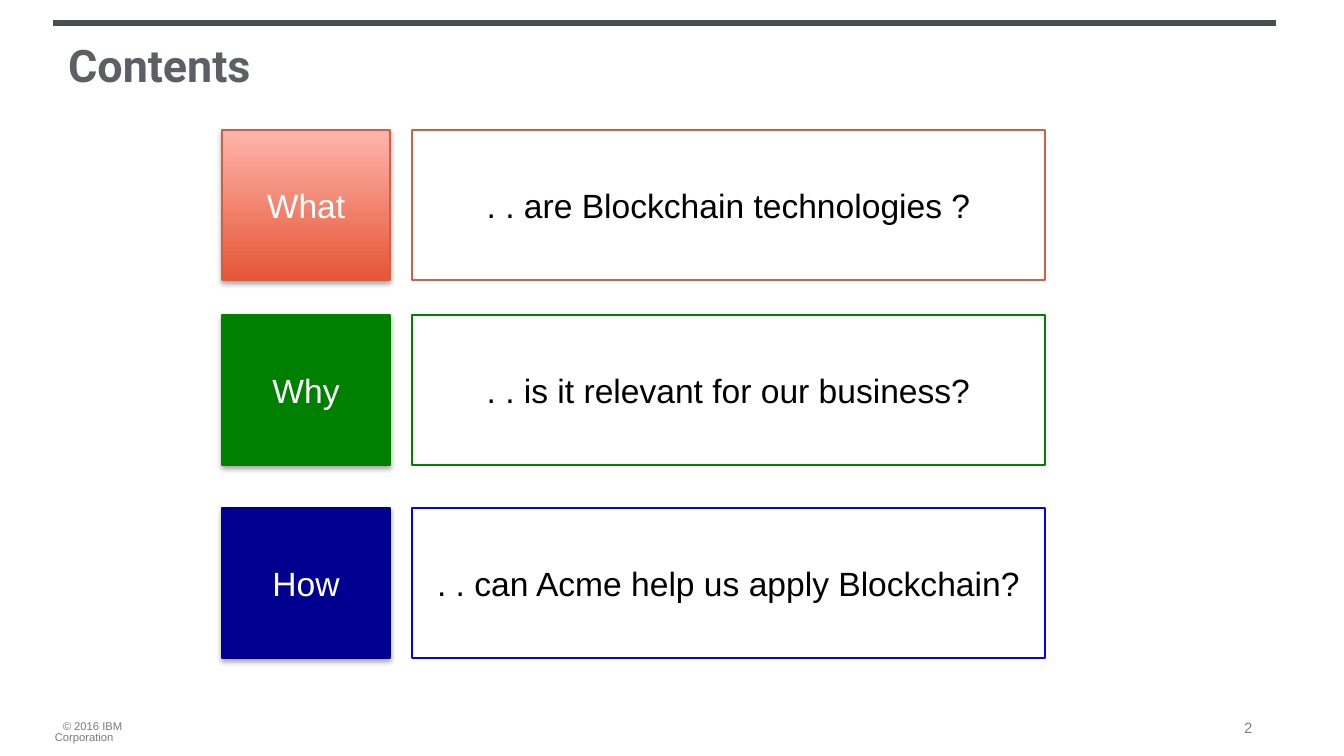
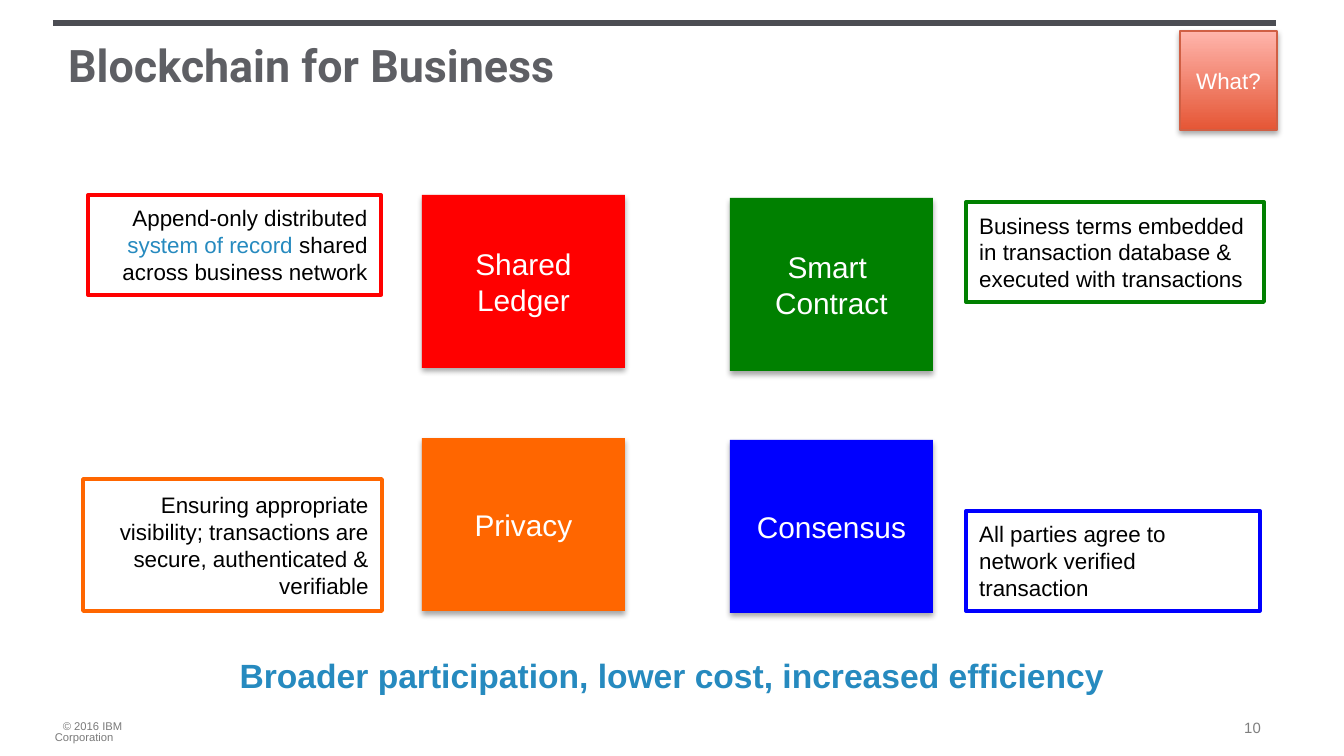
import lxml.etree
import pptx
import pptx.dml.color
import pptx.enum.shapes
import pptx.enum.text
import pptx.oxml.ns
import pptx.util

COLOURS = {
    "bar": "4C4D53", "title": "5E5F64", "copyright": "7A7A7A", "number": "7F7F7F",
    "black": "000000", "white": "FFFFFF", "accent": "268ABF",
    "coral_dark": "E55635", "coral_light": "FFB5AC", "coral_line": "D05F44",
    "green": "008000", "navy": "000090", "blue": "0000FF",
    "red": "FF0000", "orange": "FF6600",
}
CORAL = ("coral_dark", "coral_light")  # gradient, bottom to top
EMU_PER_PX = 914400 / 134.4
ALIGN = pptx.enum.text.PP_ALIGN
ANCHOR = pptx.enum.text.MSO_ANCHOR

COPYRIGHT = "© 2016 IBM Corporation"

# question, fill, line, description, description line, top
CONTENTS = [
    ("What", CORAL, "coral_line", ". . are Blockchain technologies ?", "coral_line", 130),
    ("Why", "green", "green", ". . is it relevant for our business?", "green", 315),
    ("How", "navy", "navy", ". . can Acme help us apply Blockchain?", "blue", 508),
]

# label lines, colour, tile place, note spans, note place, note alignment
PILLARS = [
    (["Shared Ledger"], "red", (422, 195),
     [("Append-only distributed ", "black"), ("system of record", "accent"),
      (" shared across business network", "black")],
     (88, 195, 293, 100), ALIGN.RIGHT),
    (["Smart ", "Contract"], "green", (730, 198),
     [("Business terms embedded in transaction database & executed with transactions", "black")],
     (966, 202, 298, 100), ALIGN.LEFT),
    (["Privacy"], "orange", (422, 438),
     [("Ensuring appropriate visibility; transactions are secure, "
       "authenticated & verifiable", "black")],
     (83, 479, 299, 132), ALIGN.RIGHT),
    (["Consensus"], "blue", (730, 440),
     [("All parties agree to network verified transaction", "black")],
     (966, 511, 294, 100), ALIGN.LEFT),
]
TAGLINE = "Broader participation, lower cost, increased efficiency"


def px(length):
    return pptx.util.Emu(round(length * EMU_PER_PX))


def rgb(name):
    return pptx.dml.color.RGBColor.from_string(COLOURS[name])


def assign(target, values):
    for name, value in values.items():
        setattr(target, name, value)


def write(box, paragraphs, size, align=ALIGN.LEFT, font="Arial", bold=False, **frame_format):
    """Fill a box; each paragraph is a list of (text, colour) spans."""
    frame = box.text_frame
    assign(frame, {"word_wrap": True, "vertical_anchor": ANCHOR.TOP, **frame_format})
    for index, spans in enumerate(paragraphs):
        para = frame.add_paragraph() if index else frame.paragraphs[0]
        para.alignment = align
        for text, colour in spans:
            span = para.add_run()
            span.text = text
            assign(span.font, {"name": font, "size": pptx.util.Pt(size), "bold": bold})
            span.font.color.rgb = rgb(colour)


def add_text(page, place, text, colour, size, **text_format):
    box = page.shapes.add_textbox(*map(px, place))
    write(box, [[(text, colour)]], size, **text_format)
    return box


def add_soft_shadow(box):
    qn = pptx.oxml.ns.qn
    effects = box._element.spPr.find(qn("a:effectLst"))
    shadow = lxml.etree.SubElement(effects, qn("a:outerShdw"), blurRad="39370",
                                   dist="22860", dir="5400000", rotWithShape="0")
    black = lxml.etree.SubElement(shadow, qn("a:srgbClr"), val=COLOURS["black"])
    lxml.etree.SubElement(black, qn("a:alpha"), val="35000")


def add_rect(page, place, paragraphs, size, fill=None, line=None, width=0.75, align=ALIGN.CENTER):
    """A rectangle with text; filled ones cast a shadow."""
    box = page.shapes.add_shape(pptx.enum.shapes.MSO_SHAPE.RECTANGLE, *map(px, place))
    box.shadow.inherit = False
    if fill is None:
        box.fill.background()
    elif isinstance(fill, tuple):
        box.fill.gradient()
        box.fill.gradient_angle = 90
        for stop, position, name in zip(box.fill.gradient_stops, (0, 1), fill):
            stop.position = position
            stop.color.rgb = rgb(name)
    else:
        box.fill.solid()
        box.fill.fore_color.rgb = rgb(fill)
    if line:
        box.line.color.rgb = rgb(line)
        box.line.width = pptx.util.Pt(width)
    else:
        box.line.fill.background()
    if fill:
        add_soft_shadow(box)
    write(box, paragraphs, size, align, vertical_anchor=ANCHOR.MIDDLE)


def add_page(deck, title, number):
    """A blank page with the shared bar, title and footer."""
    page = deck.slides.add_slide(deck.slide_layouts[6])
    bar = page.shapes.add_connector(pptx.enum.shapes.MSO_CONNECTOR.STRAIGHT,
                                    px(53), px(23), px(1276), px(23))
    bar.line.color.rgb = rgb("bar")
    bar.line.width = pptx.util.Pt(3)
    lxml.etree.SubElement(bar._element.spPr, pptx.oxml.ns.qn("a:effectLst"))

    sides = ("left", "top", "right", "bottom")
    footer = add_text(page, (55, 722, 122, 11), COPYRIGHT, "copyright", 6,
                      **{f"margin_{side}": 0 for side in sides})
    para = footer.text_frame.paragraphs[0]
    para.line_spacing = 0.8
    para._p.get_or_add_pPr().set("indent", str(px(8)))

    add_text(page, (1231, 712, 46, 32), str(number), "number", 8, word_wrap=False)
    add_text(page, (55, 31, 1210, 126), title, "title", 24, font="Roboto", bold=True)
    return page


def build_contents(deck):
    page = add_page(deck, "Contents", 2)
    for question, fill, line, description, description_line, top in CONTENTS:
        add_rect(page, (222, top, 168, 150), [[(question, "white")]], 18, fill, line)
        add_rect(page, (412, top, 633, 150), [[(description, "black")]], 18,
                 line=description_line)


def build_business(deck):
    page = add_page(deck, "Blockchain for Business", 10)
    for label, colour, corner, note, note_place, align in PILLARS:
        add_rect(page, (*corner, 203, 173), [[(text, "white")] for text in label], 16, colour)
        add_rect(page, note_place, [note], 12, line=colour, width=2, align=align)
    add_text(page, (0, 648, 1344, 95), TAGLINE, "accent", 18, align=ALIGN.CENTER, bold=True)
    add_rect(page, (1180, 31, 97, 99), [[("What?", "white")]], 12, CORAL, "coral_line")


def main():
    deck = pptx.Presentation()
    assign(deck, {"slide_width": px(1344), "slide_height": px(756)})
    build_contents(deck)
    build_business(deck)
    deck.save("out.pptx")


if __name__ == "__main__":
    main()
